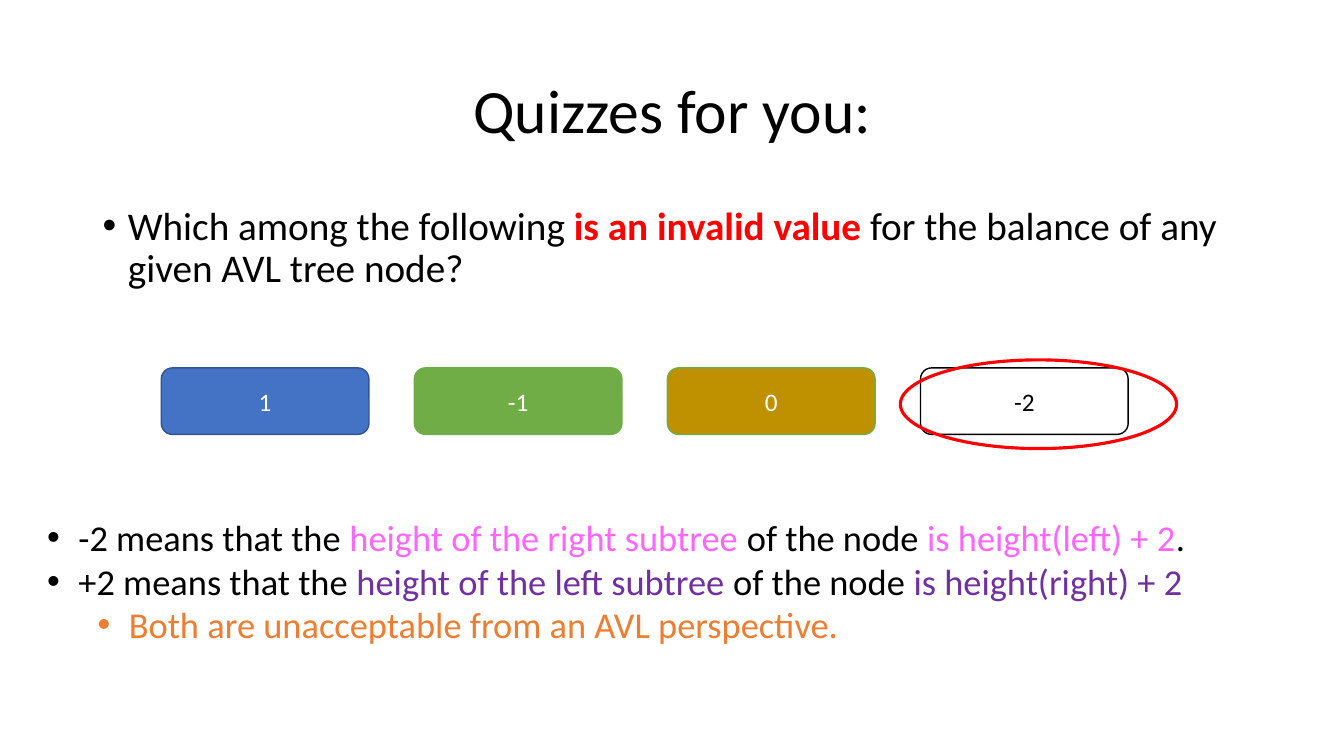
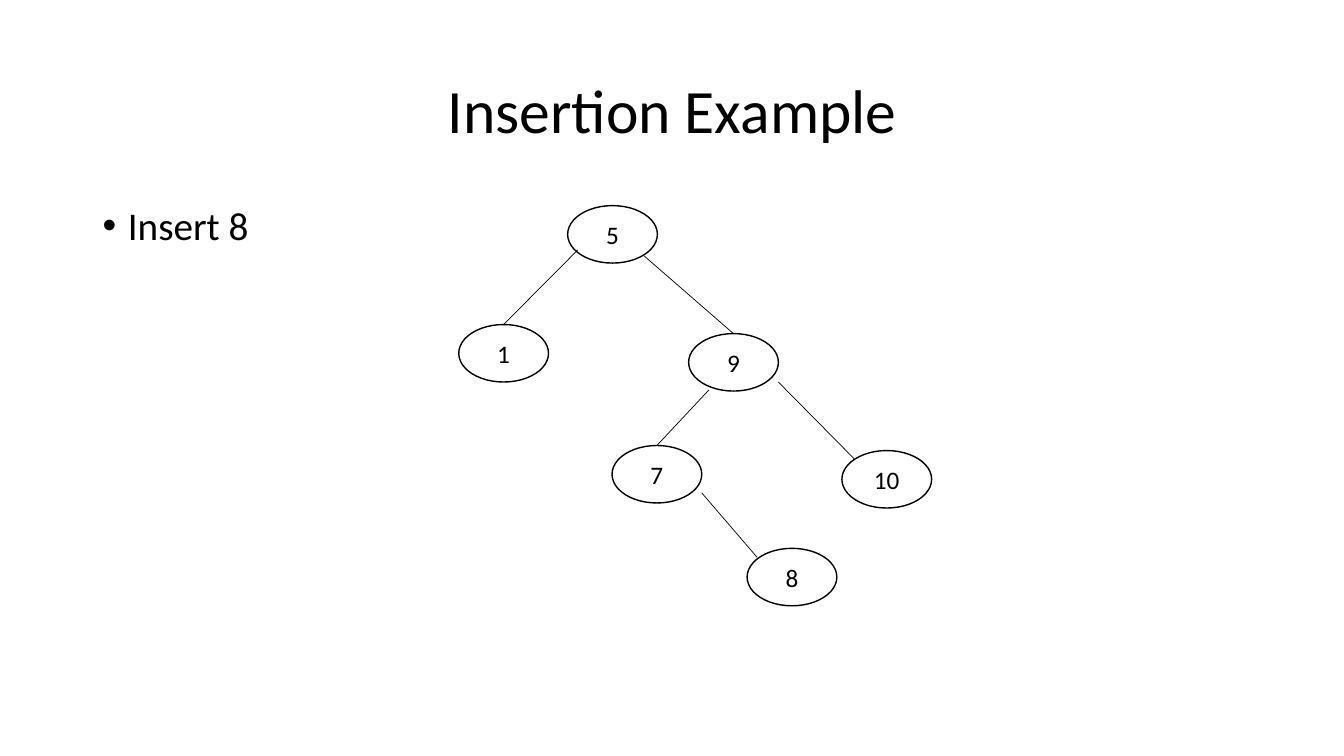
from lxml import etree
from pptx import Presentation
from pptx.dml.color import RGBColor
from pptx.enum.shapes import MSO_CONNECTOR, MSO_SHAPE
from pptx.enum.text import MSO_ANCHOR, PP_ALIGN
from pptx.oxml.ns import qn
from pptx.util import Inches, Pt

ROUNDED = MSO_SHAPE.ROUNDED_RECTANGLE
OVAL = MSO_SHAPE.OVAL
STRAIGHT = MSO_CONNECTOR.STRAIGHT
MIDDLE = MSO_ANCHOR.MIDDLE
TOP = MSO_ANCHOR.TOP
CENTER = PP_ALIGN.CENTER

BLACK = RGBColor(0x00, 0x00, 0x00)
WHITE = RGBColor(0xFF, 0xFF, 0xFF)
RED = RGBColor(0xFF, 0x00, 0x00)
BLUE = RGBColor(0x44, 0x72, 0xC4)
DARK_BLUE = RGBColor(0x32, 0x54, 0x91)
GREEN = RGBColor(0x70, 0xAD, 0x47)
GOLD = RGBColor(0xBF, 0x90, 0x00)
PINK = RGBColor(0xFF, 0x66, 0xFF)
PURPLE = RGBColor(0x70, 0x30, 0xA0)
ORANGE = RGBColor(0xED, 0x7D, 0x31)

FONT = "Calibri"
NODE_WIDTH, NODE_HEIGHT = 0.89, 0.57


def add_text(paragraph, text, *, size, color=BLACK, bold=False):
    run = paragraph.add_run()
    run.text = text
    run.font.name = FONT
    run.font.size = Pt(size)
    run.font.bold = bold
    run.font.color.rgb = color


def set_bullet(paragraph, indent, hanging, color):
    properties = paragraph._p.get_or_add_pPr()
    properties.set("marL", str(Inches(indent)))
    properties.set("indent", str(-Inches(hanging)))
    bullet_color = etree.SubElement(properties, qn("a:buClr"))
    etree.SubElement(bullet_color, qn("a:srgbClr"), val=str(color))
    etree.SubElement(properties, qn("a:buFont"), typeface="Arial")
    etree.SubElement(properties, qn("a:buChar"), char="•")


def add_titled_slide(deck, title):
    slide = deck.slides.add_slide(deck.slide_layouts[5])
    heading = slide.shapes.title
    heading.left, heading.top = Inches(0.92), Inches(0.4)
    heading.width, heading.height = Inches(11.5), Inches(1.45)
    frame = heading.text_frame
    frame.vertical_anchor = MIDDLE
    paragraph = frame.paragraphs[0]
    paragraph.alignment = CENTER
    paragraph.line_spacing = 0.9
    add_text(paragraph, title, size=44)
    return slide


def add_bullets(slide, box, items, *, size, hanging, line_spacing=1.0):
    frame = slide.shapes.add_textbox(*map(Inches, box)).text_frame
    frame.word_wrap = True
    frame.vertical_anchor = TOP
    for index, (level, spans) in enumerate(items):
        paragraph = frame.add_paragraph() if index else frame.paragraphs[0]
        paragraph.level = level
        paragraph.line_spacing = line_spacing
        set_bullet(paragraph, hanging + 0.5 * level, hanging, spans[0][1])
        for text, color in spans:
            add_text(paragraph, text, size=size, color=color, bold=color == RED)


def add_body(slide, spans):
    add_bullets(slide, (0.92, 2, 11.5, 4.76), [(0, spans)],
                size=28, hanging=0.25, line_spacing=0.9)


def add_outline(slide, kind, box, *, label="", fill=None, line=BLACK,
                line_width=1, color=BLACK):
    shape = slide.shapes.add_shape(kind, *map(Inches, box))
    shape.shadow.inherit = False
    if fill is None:
        shape.fill.background()
    else:
        shape.fill.solid()
        shape.fill.fore_color.rgb = fill
    shape.line.color.rgb = line
    shape.line.width = Pt(line_width)
    if label:
        frame = shape.text_frame
        frame.vertical_anchor = MIDDLE
        frame.paragraphs[0].alignment = CENTER
        add_text(frame.paragraphs[0], label, size=18, color=color)
    return shape


def add_edge(slide, start, end, child=None):
    edge = slide.shapes.add_connector(STRAIGHT, *map(Inches, start + end))
    edge.line.color.rgb = BLACK
    edge.line.width = Pt(0.5)
    etree.SubElement(edge._element.spPr, qn("a:effectLst"))
    if child is not None:
        edge.begin_connect(child, 0)


def build_quiz(deck):
    slide = add_titled_slide(deck, "Quizzes for you:")
    add_body(slide, [
        ("Which among the following ", BLACK),
        ("is an invalid value ", RED),
        ("for the balance of any given AVL tree node?", BLACK),
    ])
    answers = [
        ("1", BLUE, DARK_BLUE, WHITE),
        ("-1", GREEN, GREEN, WHITE),
        ("0", GOLD, GREEN, WHITE),
        ("-2", None, BLACK, BLACK),
    ]
    for index, (label, fill, line, color) in enumerate(answers):
        add_outline(slide, ROUNDED, (1.6 + 2.51 * index, 3.65, 2.06, 0.66),
                    label=label, fill=fill, line=line, color=color)
    add_outline(slide, OVAL, (8.93, 3.57, 2.74, 0.88), line=RED, line_width=2.25)
    add_bullets(slide, (0.37, 5.06, 12.83, 1.41), [
        (0, [("-2 means that the ", BLACK),
             ("height of the right subtree ", PINK),
             ("of the node ", BLACK),
             ("is height(left) + 2", PINK),
             (".", BLACK)]),
        (0, [("+2 means that the ", BLACK),
             ("height of the left subtree ", PURPLE),
             ("of the node ", BLACK),
             ("is height(right) + 2", PURPLE)]),
        (1, [("Both are unacceptable from an AVL perspective.", ORANGE)]),
    ], size=26, hanging=0.31)


def build_insertion(deck):
    slide = add_titled_slide(deck, "Insertion Example")
    add_body(slide, [("Insert 8", BLACK)])
    positions = {
        "5": (5.63, 2.04),
        "1": (4.55, 3.22),
        "9": (6.83, 3.31),
        "7": (6.07, 4.42),
        "10": (8.35, 4.47),
        "8": (7.41, 5.44),
    }
    nodes = {
        label: add_outline(slide, OVAL, position + (NODE_WIDTH, NODE_HEIGHT),
                           label=label)
        for label, position in positions.items()
    }
    top_edges = [
        ("1", (4.99, 3.22), (5.73, 2.48)),
        ("9", (7.27, 3.31), (6.39, 2.54)),
        ("7", (6.52, 4.42), (7.03, 3.87)),
    ]
    for label, start, end in top_edges:
        add_edge(slide, start, end, nodes[label])
    add_edge(slide, (8.48, 4.56), (7.72, 3.79))
    add_edge(slide, (7.51, 5.53), (6.96, 4.89))


def main():
    deck = Presentation()
    deck.slide_width = Inches(13.33)
    deck.slide_height = Inches(7.5)
    build_quiz(deck)
    build_insertion(deck)
    deck.save("out.pptx")


if __name__ == "__main__":
    main()
